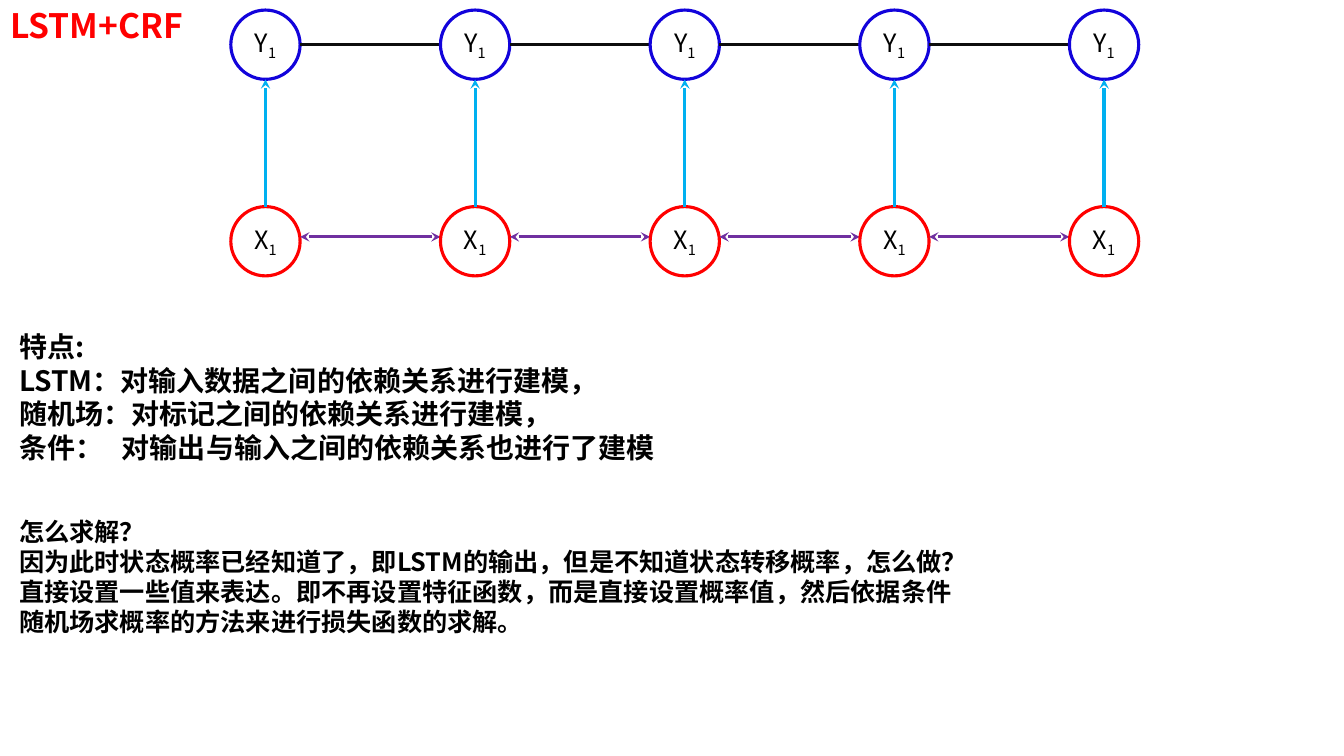
from lxml.etree import SubElement
from pptx import Presentation
from pptx.dml.color import RGBColor
from pptx.enum.shapes import MSO_CONNECTOR, MSO_SHAPE
from pptx.enum.text import MSO_ANCHOR, MSO_AUTO_SIZE, PP_ALIGN
from pptx.oxml.ns import qn
from pptx.util import Pt

FONT = "Noto Sans CJK SC"


def style(paragraph, size, color, bold):
    font = paragraph.font
    font.name, font.size, font.bold = FONT, Pt(size), bold
    font.color.rgb = RGBColor.from_string(color)
    defaults = paragraph._p.pPr.find(qn("a:defRPr"))
    SubElement(defaults, qn("a:ea"), typeface=FONT)


def link(x1, y1, x2, y2, color, arrow_ends):
    connector = slide.shapes.add_connector(
        MSO_CONNECTOR.STRAIGHT, Pt(x1), Pt(y1), Pt(x2), Pt(y2))
    connector.line.color.rgb = RGBColor.from_string(color)
    connector.line.width = Pt(2.25)
    for end in arrow_ends:
        SubElement(connector.line._get_or_add_ln(), qn(f"a:{end}"), type="stealth")
    SubElement(connector._element.spPr, qn("a:effectLst"))


prs = Presentation()
prs.slide_width, prs.slide_height = Pt(960), Pt(540)
slide = prs.slides.add_slide(prs.slide_layouts[5])

title = slide.shapes.title
title.left, title.top, title.width, title.height = Pt(0), Pt(0), Pt(160), Pt(36)
title.text_frame.text = "LSTM+CRF"
title.text_frame.vertical_anchor = MSO_ANCHOR.TOP
title.text_frame.auto_size = MSO_AUTO_SIZE.NONE
title.text_frame.paragraphs[0].alignment = PP_ALIGN.LEFT
style(title.text_frame.paragraphs[0], 24, "FF0000", True)

STEPS = 5
FIRST_LEFT, PITCH, DIAMETER = 164.9, 149.75, 49.5
LABEL_TOP, INPUT_TOP = 7.2, 147.6
LABEL_LINK_Y, INPUT_LINK_Y = 31.7, 169.2

for step in range(STEPS):
    left = FIRST_LEFT + step * PITCH
    for letter, top, outline in (("Y", LABEL_TOP, "1203DB"), ("X", INPUT_TOP, "FF0000")):
        node = slide.shapes.add_shape(
            MSO_SHAPE.OVAL, Pt(left), Pt(top), Pt(DIAMETER), Pt(DIAMETER))
        node.shadow.inherit = False
        node.fill.background()
        node.line.color.rgb = RGBColor.from_string(outline)
        node.line.width = Pt(2.25)
        node.text_frame.word_wrap = False
        node.text_frame.vertical_anchor = MSO_ANCHOR.MIDDLE
        symbol = node.text_frame.paragraphs[0]
        symbol.alignment = PP_ALIGN.CENTER
        symbol.add_run().text = letter
        subscript = symbol.add_run()
        subscript.text = "1"
        subscript._r.get_or_add_rPr().set("baseline", "-25000")
        style(symbol, 18, "000000", False)

    center = left + DIAMETER / 2
    link(center, LABEL_TOP + DIAMETER, center, INPUT_TOP, "00B0F0", ["headEnd"])
    if step < STEPS - 1:
        right, next_left = left + DIAMETER, left + PITCH
        link(right, INPUT_LINK_Y, next_left, INPUT_LINK_Y, "7030A0", ["headEnd", "tailEnd"])
        link(right, LABEL_LINK_Y, next_left, LABEL_LINK_Y, "0D0D0D", [])

features = [
    "特点:",
    "LSTM：对输入数据之间的依赖关系进行建模，",
    "随机场：对标记之间的依赖关系进行建模，",
    "条件：\t对输出与输入之间的依赖关系也进行了建模",
]
solution = [
    "怎么求解？",
    "因为此时状态概率已经知道了，即LSTM的输出，但是不知道状态转移概率，怎么做？"
    "直接设置一些值来表达。即不再设置特征函数，而是直接设置概率值，"
    "然后依据条件随机场求概率的方法来进行损失函数的求解。",
]
for lines, top, height, size in ((features, 231.8, 104.4, 20), (solution, 365, 94.3, 18)):
    notes = slide.shapes.add_textbox(Pt(6.5), Pt(top), Pt(690.5), Pt(height)).text_frame
    notes.word_wrap = True
    notes.text = "\n".join(lines)
    for paragraph in notes.paragraphs:
        if "\t" in paragraph.text:
            tabs = SubElement(paragraph._p.get_or_add_pPr(), qn("a:tabLst"))
            SubElement(tabs, qn("a:tab"), pos=str(Pt(73.5)), algn="l")
        style(paragraph, size, "000000", True)

prs.save("out.pptx")
